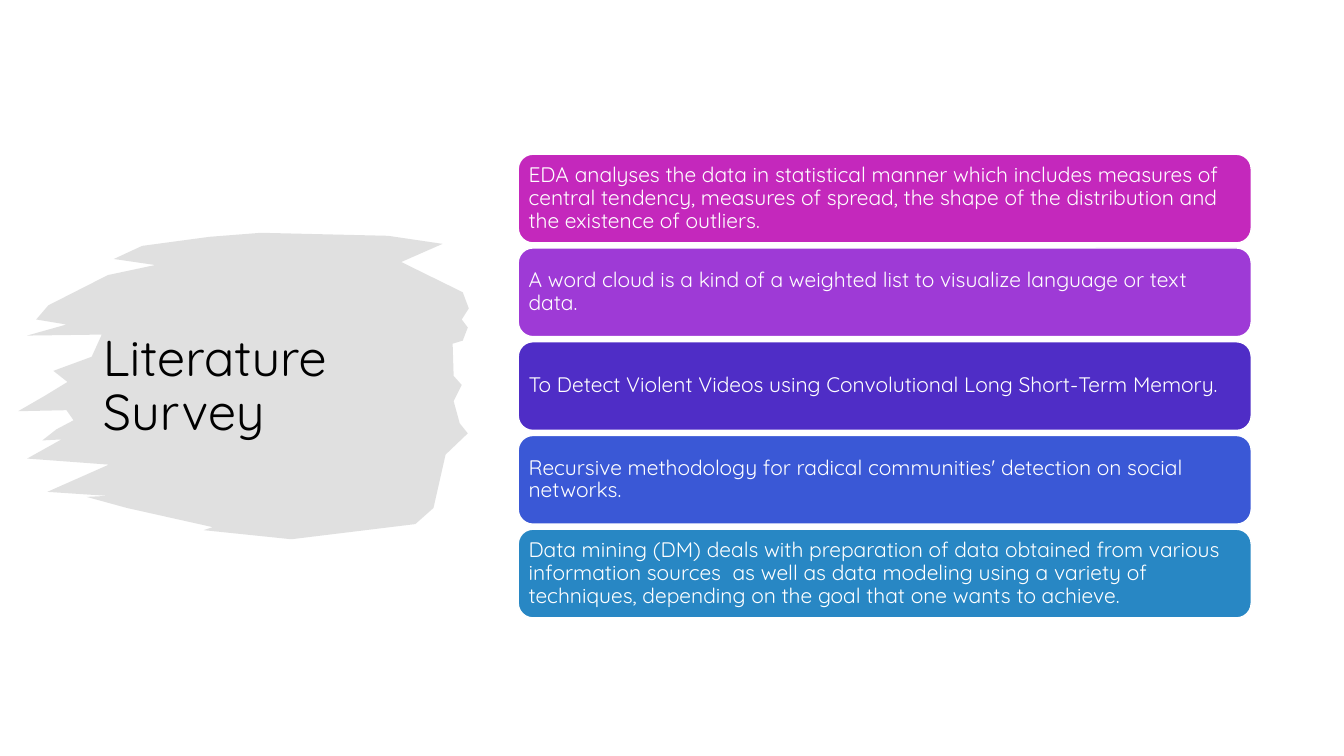
from lxml import etree
from pptx import Presentation
from pptx import util as u
from pptx.dml.color import RGBColor
from pptx.enum import shapes, text
from pptx.oxml import ns

FONT = "Quicksand"
BLACK = RGBColor(0x00, 0x00, 0x00)
WHITE = RGBColor(0xFF, 0xFF, 0xFF)
BRUSH_GREY = RGBColor(0xD9, 0xD9, 0xD9)
MAGENTA = RGBColor(0xC4, 0x28, 0xBC)
PURPLE = RGBColor(0x9E, 0x3A, 0xD6)
INDIGO = RGBColor(0x4F, 0x2D, 0xC6)
BLUE = RGBColor(0x3A, 0x58, 0xD6)
SKY = RGBColor(0x28, 0x87, 0xC4)

# Non-breaking spaces hold some phrases together on one line
FINDINGS = [
    (MAGENTA, "EDA analyses the data in statistical manner which includes measures of "
              "central tendency, measures of spread, the shape of the distribution and "
              "the existence of outliers."),
    (PURPLE, "A word cloud is a kind of a weighted list to visualize language or text data."),
    (INDIGO, "To Detect Violent Videos using Convolutional Long Short-Term Memory."),
    (BLUE, "Recursive methodology for radical communities' detection on social networks."),
    (SKY, "Data mining (DM) deals with preparation of data obtained from various "
          "information sources  as well as data modeling using a variety of "
          "techniques, depending on the goal that one wants to achieve."),
]

# Outline of the brush stroke, in hundredths of an inch
BRUSH_OUTLINE = [
    (259, 231), (385, 234), (439, 242), (398, 260), (459, 290), (465, 306),
    (458, 317), (464, 325), (459, 338), (449, 341), (450, 373), (458, 382),
    (450, 398), (456, 420), (464, 430), (442, 451), (430, 504), (412, 520),
    (289, 535), (202, 526), (211, 523), (126, 504), (86, 493), (107, 492),
    (47, 488), (108, 461), (27, 455), (61, 436), (42, 437), (56, 426),
    (73, 417), (66, 407), (18, 408), (44, 393), (67, 379), (53, 368),
    (91, 354), (101, 332), (27, 333), (66, 322), (36, 317), (48, 303),
    (107, 273), (154, 263), (113, 257), (141, 244), (208, 235),
]


def set_text(shape, content, size, color, margin=None):
    """Fill a shape with one left-aligned, vertically centred paragraph."""
    frame = shape.text_frame
    frame.word_wrap = True
    frame.auto_size = text.MSO_AUTO_SIZE.NONE
    frame.vertical_anchor = text.MSO_ANCHOR.MIDDLE
    if margin is not None:
        frame.margin_left = frame.margin_right = margin
        frame.margin_top = frame.margin_bottom = margin
    paragraph = frame.paragraphs[0]
    paragraph.alignment = text.PP_ALIGN.LEFT
    paragraph.line_spacing = 0.9
    run = paragraph.add_run()
    run.text = content
    run.font.name = FONT
    run.font.size = u.Pt(size)
    run.font.color.rgb = color


def add_brush(slide, left, top, width, height):
    """Draw the translucent brush stroke in the given box."""
    builder = slide.shapes.build_freeform(*BRUSH_OUTLINE[0], scale=u.Inches(0.01))
    builder.add_line_segments(BRUSH_OUTLINE[1:], close=True)
    brush = builder.convert_to_shape()
    brush.left, brush.top, brush.width, brush.height = left, top, width, height
    brush.shadow.inherit = False
    brush.line.fill.background()
    brush.fill.solid()
    brush.fill.fore_color.rgb = BRUSH_GREY
    color = brush.element.spPr.find(".//" + ns.qn("a:srgbClr"))
    etree.SubElement(color, ns.qn("a:alpha"), val="80000")


def place_title(slide, left, top, width, height):
    """Move the title placeholder into the given box, in front of the brush."""
    title = slide.shapes.title
    title.element.getparent().append(title.element)
    title.left, title.top, title.width, title.height = left, top, width, height
    set_text(title, "Literature Survey", size=36, color=BLACK)


def add_findings(slide, left, top, width, height):
    """Stack one rounded bar per finding, evenly spaced in the given box."""
    bar_height = u.Inches(0.88)
    step = (height - bar_height) // (len(FINDINGS) - 1)
    for index, (color, finding) in enumerate(FINDINGS):
        bar = slide.shapes.add_shape(shapes.MSO_SHAPE.ROUNDED_RECTANGLE,
                                     left, top + index * step, width, bar_height)
        bar.shadow.inherit = False
        bar.fill.solid()
        bar.fill.fore_color.rgb = color
        bar.line.color.rgb = WHITE
        bar.line.width = u.Pt(1)
        set_text(bar, finding, size=15, color=WHITE, margin=u.Inches(0.06))


def main():
    presentation = Presentation()
    presentation.slide_width = u.Inches(13.33)
    presentation.slide_height = u.Inches(7.5)
    slide = presentation.slides.add_slide(presentation.slide_layouts.get_by_name("Title Only"))

    # Left: brush stroke behind the title
    add_brush(slide, u.Inches(0.18), u.Inches(2.31), u.Inches(4.47), u.Inches(3.04))
    place_title(slide, u.Inches(0.92), u.Inches(1.64), u.Inches(3.52), u.Inches(4.4))

    # Right: stack of findings
    add_findings(slide, u.Inches(5.14), u.Inches(1.53), u.Inches(7.27), u.Inches(4.6))
    presentation.save("out.pptx")


if __name__ == "__main__":
    main()
